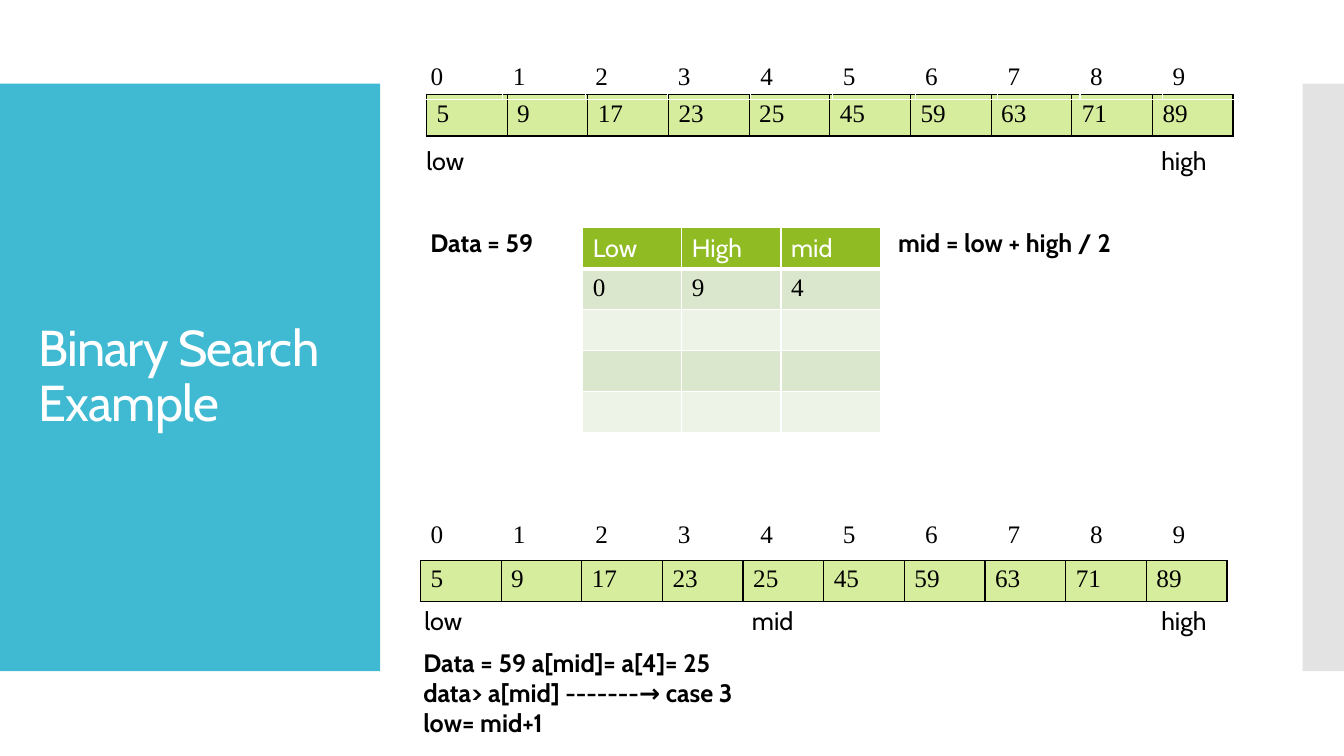
from lxml.etree import SubElement
from pptx import Presentation
from pptx.dml.color import RGBColor
from pptx.enum.shapes import MSO_SHAPE
from pptx.enum.text import MSO_ANCHOR, MSO_AUTO_SIZE, PP_ALIGN
from pptx.oxml.ns import qn
from pptx.util import Emu, Pt

COLOURS = {
    "panel": "40BAD2", "edge": "C8C8C8", "black": "000000", "white": "FFFFFF",
    "array": "D7ED9E", "header": "90BB23", "band": "DBE7CD", "pale": "EEF3E8",
}
SANS, SERIF = "Cabin", "Times New Roman"
SCALE = 9144


def colour(name):
    return RGBColor.from_string(COLOURS[name])


class Page:
    """Draws styled elements on one slide, with lengths in px (100 to the inch)."""

    def __init__(self, deck):
        self.slide = deck.slides.add_slide(deck.slide_layouts[5])
        self.shapes = self.slide.shapes

    def lengths(self, *pixels):
        return [Emu(pixel * SCALE) for pixel in pixels]

    def style(self, para, font=SANS, ink="black", size=18, bold=False):
        para.font.name, para.font.size, para.font.bold = font, Pt(size), bold
        para.font.color.rgb = colour(ink)

    def panel(self, place, fill, opacity=100):
        shape = self.shapes.add_shape(MSO_SHAPE.RECTANGLE, *self.lengths(*place))
        shape.shadow.inherit = False
        shape.fill.solid()
        shape.fill.fore_color.rgb = colour(fill)
        shape.line.fill.background()
        if opacity < 100:
            tint = shape._element.spPr.find(qn("a:solidFill"))[0]
            SubElement(tint, qn("a:alpha"), val=str(opacity * 1000))

    def title(self, place, text):
        box = self.shapes.title
        box.left, box.top, box.width, box.height = self.lengths(*place)
        self.shapes._spTree.append(box._element)
        frame = box.text_frame
        frame.text = text
        frame.word_wrap = True
        frame.vertical_anchor = MSO_ANCHOR.MIDDLE
        para = frame.paragraphs[0]
        para.alignment, para.line_spacing = PP_ALIGN.LEFT, 0.9
        self.style(para, ink="white", size=36)
        para.runs[0]._r.get_or_add_rPr().set("spc", "-60")

    def text(self, place, text, bold=False):
        frame = self.shapes.add_textbox(*self.lengths(*place)).text_frame
        frame.word_wrap = True
        frame.auto_size = MSO_AUTO_SIZE.SHAPE_TO_FIT_TEXT
        frame.text = text
        for para in frame.paragraphs:
            self.style(para, bold=bold)

    def border(self, cell, ink, bottom=1):
        properties = cell._tc.get_or_add_tcPr()
        for side, width in {"L": 1, "R": 1, "T": 1, "B": bottom}.items():
            line = SubElement(properties, qn(f"a:ln{side}"), w=str(Pt(width)))
            solid = SubElement(line, qn("a:solidFill"))
            SubElement(solid, qn("a:srgbClr"), val=COLOURS[ink])

    def table(self, place, rows, fills=(None,), line=None, header=False):
        size = len(rows), len(rows[0])
        table = self.shapes.add_table(*size, *self.lengths(*place)).table
        table.first_row = table.horz_banding = False
        for index, (values, fill) in enumerate(zip(rows, fills)):
            top = header and index == 0
            for cell, value in zip(table.rows[index].cells, values):
                cell.text = str(value)
                self.style(cell.text_frame.paragraphs[0],
                           SANS if top else SERIF, "white" if top else "black")
                if line:
                    self.border(cell, line, 3 if top else 1)
                if fill:
                    cell.fill.solid()
                    cell.fill.fore_color.rgb = colour(fill)
                else:
                    cell.fill.background()


def main():
    deck = Presentation()
    deck.slide_width, deck.slide_height = Emu(1333 * SCALE), Emu(750 * SCALE)
    page = Page(deck)
    page.panel((0, 83, 377, 583), "panel")
    page.panel((1292, 83, 41, 583), "edge", 50)
    page.title((28, 123, 322, 503), "Binary Search Example")

    numbers = [5, 9, 17, 23, 25, 45, 59, 63, 71, 89]
    for left, top, index_top in ((423, 94, 58), (417, 556, 512)):
        page.table((left, top, 800, 41), [numbers], ["array"], "black")
        page.table((417, index_top, 818, 41), [range(10)])

    for left, top, label in ((413, 139, "low"), (1142, 139, "high"),
                             (411, 596, "low"), (736, 596, "mid"),
                             (1142, 596, "high")):
        page.text((left, top, 74, 40), label)

    page.text((417, 221, 150, 40), "Data = 59", bold=True)
    steps = [["Low", "High", "mid"], [0, 9, 4]] + [[""] * 3] * 3
    page.table((578, 226, 295, 203), steps,
               ["header", "band", "pale", "band", "pale"], "white", header=True)
    page.text((881, 221, 250, 40), "mid = low + high / 2", bold=True)
    page.text((410, 637, 850, 101),
              "Data = 59 a[mid]= a[4]= 25\n"
              "data> a[mid] -------→ case 3\n"
              "low= mid+1", bold=True)
    deck.save("out.pptx")


if __name__ == "__main__":
    main()
